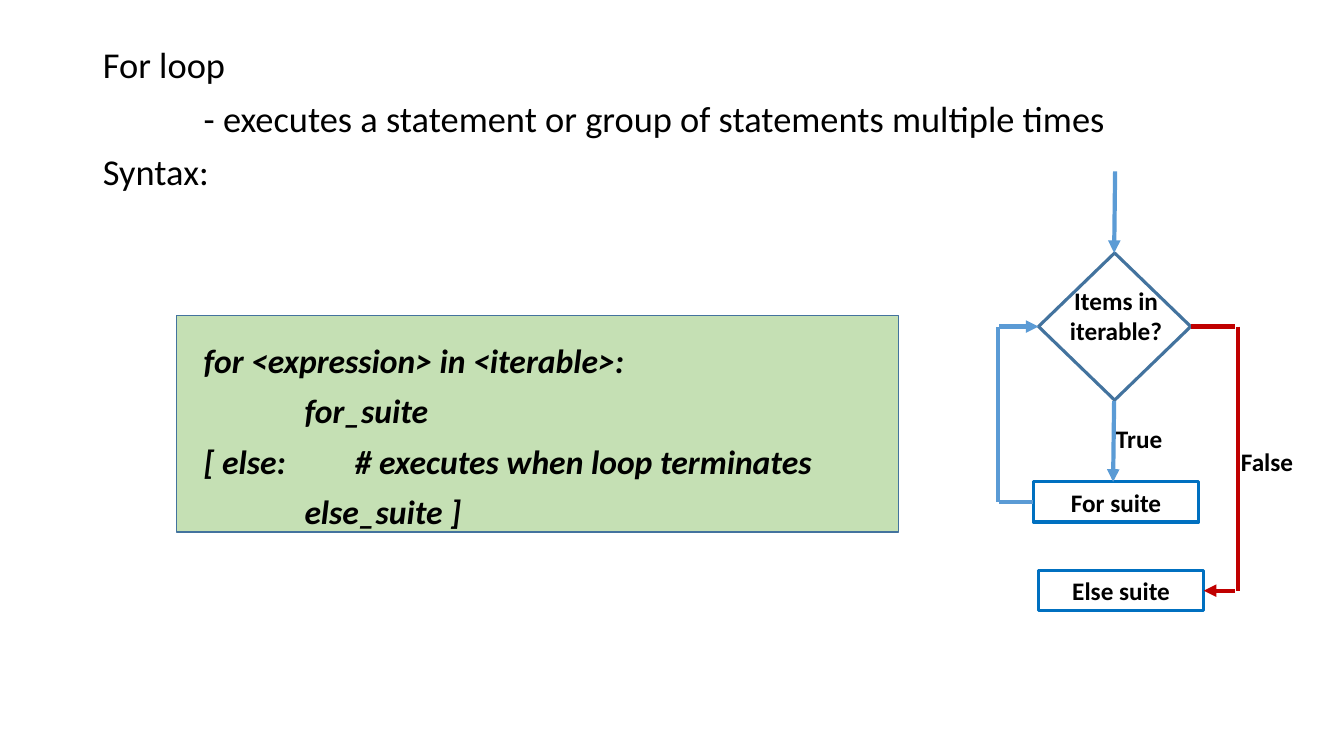
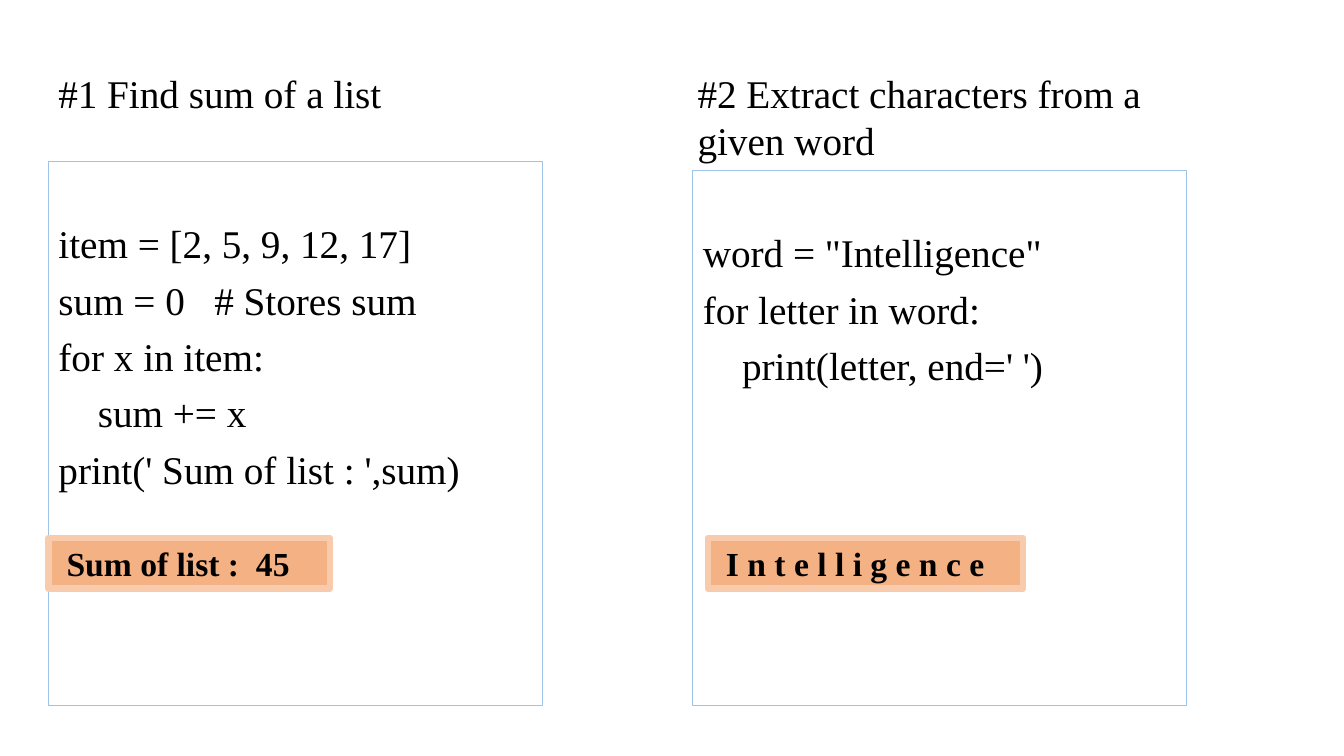
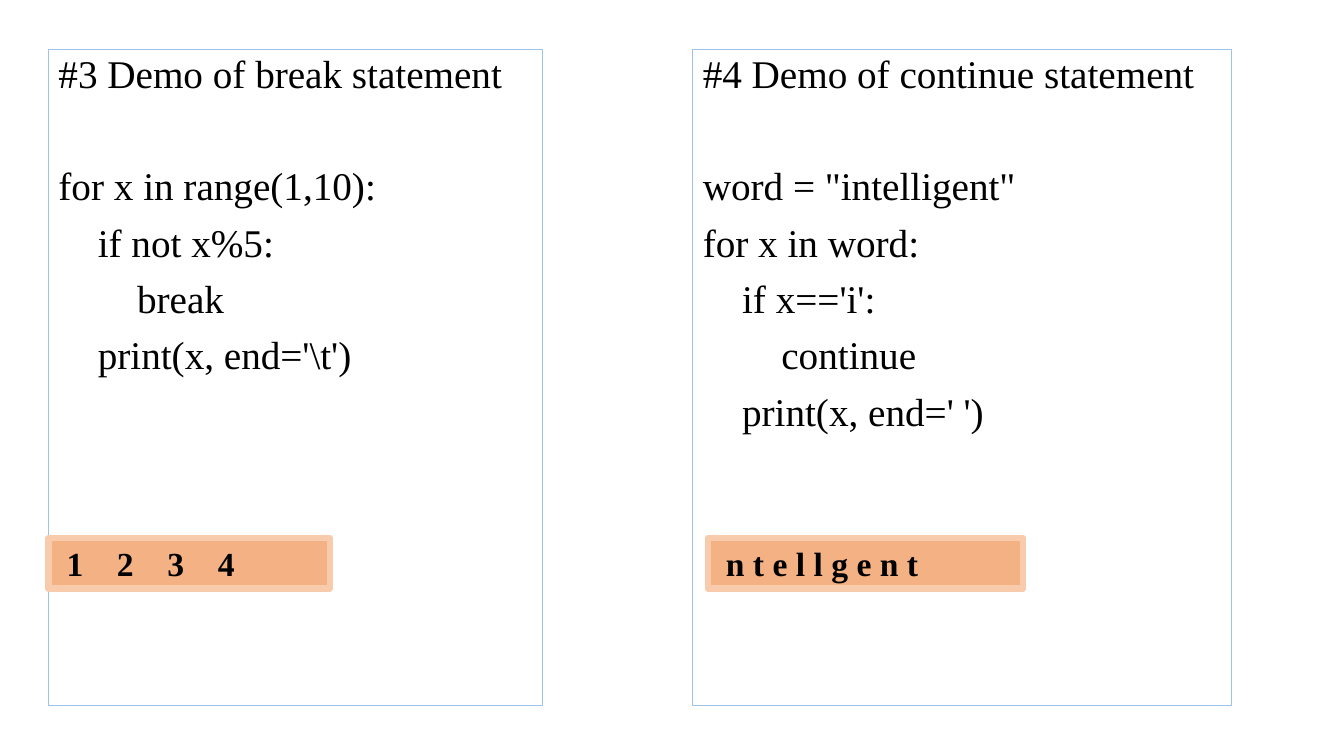
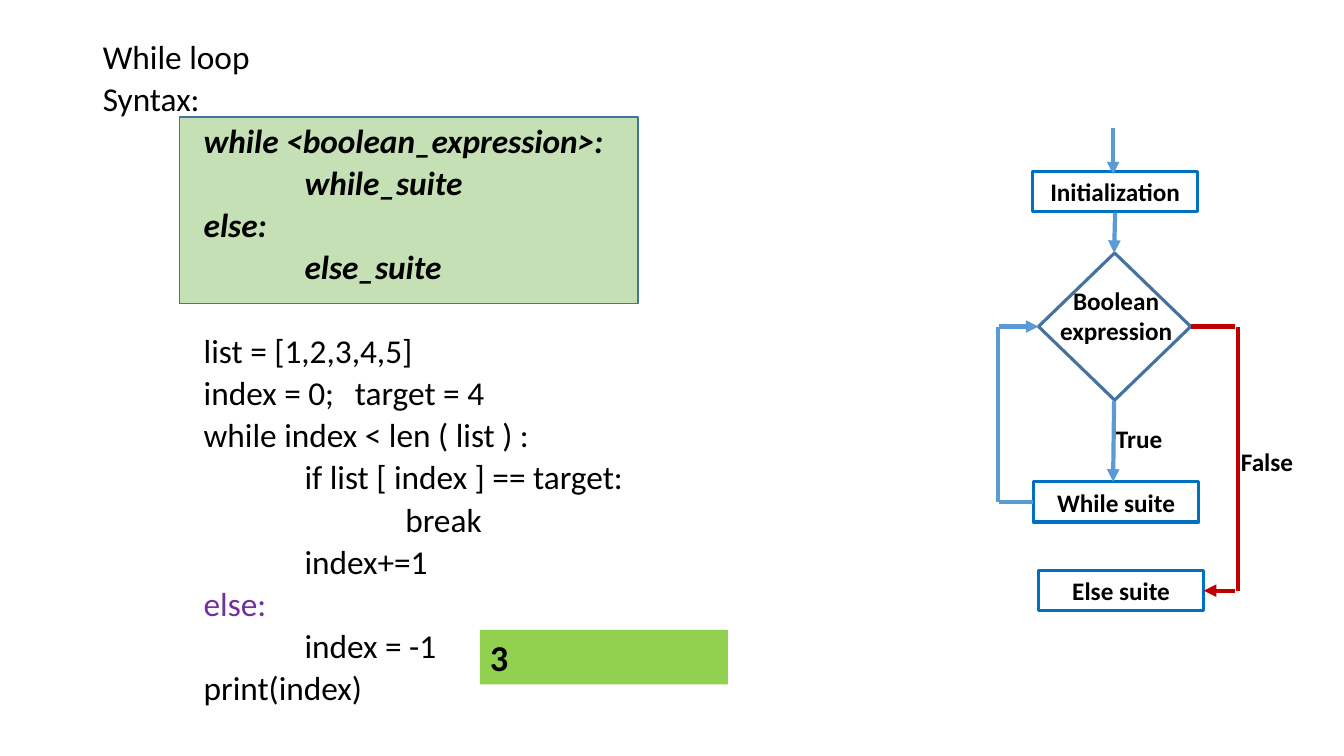
"""Build four slides on Python for and while loops."""
from lxml import etree
from pptx import Presentation
from pptx.dml.color import RGBColor
from pptx.enum.shapes import MSO_CONNECTOR, MSO_SHAPE
from pptx.enum.text import MSO_ANCHOR, MSO_AUTO_SIZE, PP_ALIGN
from pptx.oxml.ns import qn
from pptx.util import Inches, Pt

RECT, DIAMOND = MSO_SHAPE.RECTANGLE, MSO_SHAPE.FLOWCHART_DECISION
STRAIGHT = MSO_CONNECTOR.STRAIGHT
LEFT, CENTER = PP_ALIGN.LEFT, PP_ALIGN.CENTER
TOP, MIDDLE = MSO_ANCHOR.TOP, MSO_ANCHOR.MIDDLE
NO_FIT = MSO_AUTO_SIZE.NONE

SANS, SERIF = "Calibri", "Times New Roman"
COLORS = {
    "text": "000000", "keyword": "7030A0", "syntax": "C5E0B4", "outline": "43739E",
    "step": "0070C0", "flow": "5B9BD5", "exit": "C00000", "panel": "9DC3E6",
    "result": "F4B183", "result_edge": "F8CBAD", "answer": "92D050",
}
CODE = {"bold": True, "italic": True}


def color(name):
    return RGBColor.from_string(COLORS[name])


def write(sp, lines, size=18, font=SANS, ink="text", bold=False, italic=False,
          align=LEFT, anchor=TOP, spacing=1, before=0, step=1, tabs=()):
    """Fill a shape with (level, text, overrides) lines."""
    tf = sp.text_frame
    tf.word_wrap, tf.auto_size, tf.vertical_anchor = True, NO_FIT, anchor
    for i, (level, text, own) in enumerate(lines):
        p = tf.add_paragraph() if i else tf.paragraphs[0]
        p.alignment, p.line_spacing = align, spacing
        p.space_before = Pt(own.get("before", before))
        pPr = p._p.get_or_add_pPr()
        pPr.set("marL", str(Inches(level * step)))
        pPr.set("indent", "0")
        etree.SubElement(pPr, qn("a:buNone"))
        if tabs:
            tab_list = etree.SubElement(pPr, qn("a:tabLst"))
            for pos in tabs:
                etree.SubElement(tab_list, qn("a:tab"), pos=str(Inches(pos)), algn="l")
        r = p.add_run()
        r.text = text
        r.font.name, r.font.size = font, Pt(own.get("size", size))
        r.font.bold = own.get("bold", bold)
        r.font.italic = own.get("italic", italic)
        r.font.color.rgb = color(own.get("ink", ink))


prs = Presentation()
prs.slide_width, prs.slide_height = Inches(13.33), Inches(7.5)
slides = []
for layout in (1, 3, 3, 1):
    s = prs.slides.add_slide(prs.slide_layouts[layout])
    title = s.shapes.title.element
    title.getparent().remove(title)
    slides.append(s)

FOR_CODE = {"size": 24, **CODE}
for_lines = [
    (0, "For loop", {}),
    (1, "- executes a statement or group of statements multiple times", {}),
    (0, "Syntax:", {}),
    (1, "for <expression> in <iterable>:", {"before": 108, **FOR_CODE}),
    (2, "for_suite", FOR_CODE),
    (1, "[ else:\t\t# executes when loop terminates", FOR_CODE),
    (2, "else_suite ]", FOR_CODE),
]
while_lines = [
    (0, "While loop", {}),
    (0, "Syntax:", {}),
    (1, "while <boolean_expression>:", CODE),
    (2, "while_suite", CODE),
    (1, "else:", CODE),
    (2, "else_suite", CODE),
    (1, "list = [1,2,3,4,5]", {"before": 40}),
    (1, "index = 0;\ttarget = 4", {}),
    (1, "while index < len ( list ) :", {}),
    (2, "if list [ index ] == target:", {}),
    (3, "break", {}),
    (2, "index+=1", {}),
    (1, "else:", {"ink": "keyword"}),
    (2, "index = -1", {}),
    (1, "print(index)", {}),
]

STEP_W, STEP_H = 1.64, 0.4
FLOW_LINES = [
    (11.05, 3.98, 11.04, 4.78, "flow", True),
    (11.81, 3.24, 12.25, 3.24, "exit", False),
    (12.28, 3.24, 12.28, 5.86, "exit", False),
    (12.25, 5.86, 11.94, 5.86, "exit", True),
    (10.25, 4.98, 9.91, 4.98, "flow", False),
    (9.9, 4.98, 9.9, 3.24, "flow", False),
    (9.91, 3.24, 10.3, 3.24, "flow", True),
]
loops = [
    (slides[0], for_lines, (1.75, 3.13, 7.16, 2.15), 6.34, 26, 0.9,
     "Items in iterable?", [(10.25, 4.78, "For suite")],
     [(11.06, 1.7, 11.05, 2.51, "flow", True)]),
    (slides[3], while_lines, (1.78, 1.16, 4.55, 1.85), 6.81, 23.8, 0.7,
     "Boolean expression", [(10.25, 4.78, "While suite"), (10.24, 1.7, "Initialization")],
     [(11.06, 2.11, 11.05, 2.51, "flow", True), (11.04, 1.27, 11.04, 1.73, "flow", True)]),
]
for s, lines, syntax_at, height, size, spacing, question, steps, entries in loops:
    sp = s.shapes.add_shape(RECT, *map(Inches, syntax_at))
    sp.shadow.inherit = False
    sp.fill.solid()
    sp.fill.fore_color.rgb = color("syntax")
    sp.line.color.rgb, sp.line.width = color("outline"), Pt(1)

    body = s.placeholders[1]
    body.left, body.top, body.width, body.height = map(Inches, (0.92, 0.42, 11.5, height))
    write(body, lines, size=size, spacing=spacing, before=10)
    s.shapes.element.append(body.element)

    sp = s.shapes.add_shape(DIAMOND, *map(Inches, (10.3, 2.51, 1.51, 1.46)))
    sp.shadow.inherit = False
    sp.fill.background()
    sp.line.color.rgb, sp.line.width = color("outline"), Pt(2.25)

    for x, y, text in steps + [(10.3, 5.66, "Else suite")]:
        sp = s.shapes.add_shape(RECT, *map(Inches, (x, y, STEP_W, STEP_H)))
        sp.shadow.inherit = False
        sp.fill.background()
        sp.line.color.rgb, sp.line.width = color("step"), Pt(2.25)
        write(sp, [(0, text, {})], bold=True, align=CENTER, anchor=MIDDLE)

    for x1, y1, x2, y2, ink, arrow in entries + FLOW_LINES:
        c = s.shapes.add_connector(STRAIGHT, *map(Inches, (x1, y1, x2, y2)))
        c.line.color.rgb, c.line.width = color(ink), Pt(3)
        spPr = c.element.spPr
        if arrow:
            etree.SubElement(spPr.find(qn("a:ln")), qn("a:tailEnd"), type="triangle")
        etree.SubElement(spPr, qn("a:effectLst"))

    for x, y, w, h, text, align in [
        (10.3, 2.78, 1.54, 0.71, question, CENTER),
        (12.21, 4.38, 1.1, 0.4, "False", LEFT),
        (10.97, 4.15, 1.1, 0.4, "True", LEFT),
    ]:
        sp = s.shapes.add_textbox(*map(Inches, (x, y, w, h)))
        write(sp, [(0, text, {})], bold=True, align=align)

sp = slides[3].shapes.add_shape(RECT, *map(Inches, (4.76, 6.25, 2.46, 0.54)))
sp.shadow.inherit = False
sp.fill.solid()
sp.fill.fore_color.rgb = color("answer")
sp.line.fill.background()
write(sp, [(0, "3", {})], size=26, bold=True, anchor=MIDDLE)

GAP = {"before": 50}
examples = [
    (slides[1], 1, (0.48, 1.6, 4.9, 5.4), 0.63, [
        (0, "item = [2, 5, 9, 12, 17]", {}),
        (0, "sum = 0   # Stores sum", {}),
        (0, "for x in item:", {}),
        (1, "sum += x", {}),
        (0, "print(' Sum of list : ',sum)", {}),
    ], "Sum of list :  45"),
    (slides[1], 2, (6.87, 1.69, 4.9, 5.31), 0.63, [
        (0, "word = \"Intelligence\"", {}),
        (0, "for letter in word:", {}),
        (1, "print(letter, end=' ')", {}),
    ], "I n t e l l i g e n c e"),
    (slides[2], 1, (0.48, 0.49, 4.9, 6.51), 0.05, [
        (0, "#3 Demo of break statement", {}),
        (0, "for x in range(1,10):", GAP),
        (1, "if not x%5:", {}),
        (2, "break", {}),
        (1, "print(x, end='\\t')", {}),
    ], "1\t2\t3\t4"),
    (slides[2], 2, (6.87, 0.49, 5.34, 6.51), 0.05, [
        (0, "#4 Demo of continue statement", {}),
        (0, "word = \"intelligent\"", GAP),
        (0, "for x in word:", {}),
        (1, "if x=='i':", {}),
        (2, "continue", {}),
        (1, "print(x, end=' ')", {}),
    ], "n t e l l g e n t"),
]
RESULT_AT = {1: (0.48, 5.34, 2.79, 0.5), 2: (7.02, 5.34, 3.13, 0.5)}
for s, column, at, inset, lines, result in examples:
    body = s.placeholders[column]
    body.left, body.top, body.width, body.height = map(Inches, at)
    body.line.color.rgb, body.line.width = color("panel"), Pt(0.75)
    body.text_frame.margin_top = Inches(inset)
    write(body, lines, size=28, font=SERIF, spacing=0.9, before=10, step=0.39)

    sp = s.shapes.add_shape(RECT, *map(Inches, RESULT_AT[column]))
    sp.shadow.inherit = False
    sp.fill.solid()
    sp.fill.fore_color.rgb = color("result")
    sp.line.color.rgb, sp.line.width = color("result_edge"), Pt(4.5)
    sp.text_frame.margin_left = Inches(0.18)
    write(sp, [(0, result, {})], size=24, font=SERIF, bold=True, anchor=MIDDLE,
          tabs=(0.75, 1.5, 2.25))

for x, w, h, text in [
    (0.48, 4.9, 1.04, "#1 Find sum of a list"),
    (6.82, 4.94, 1.51, "#2 Extract characters from a given word"),
]:
    sp = slides[1].shapes.add_textbox(*map(Inches, (x, 0.64, w, h)))
    write(sp, [(0, text, {})], size=28, font=SERIF)

prs.save("out.pptx")
